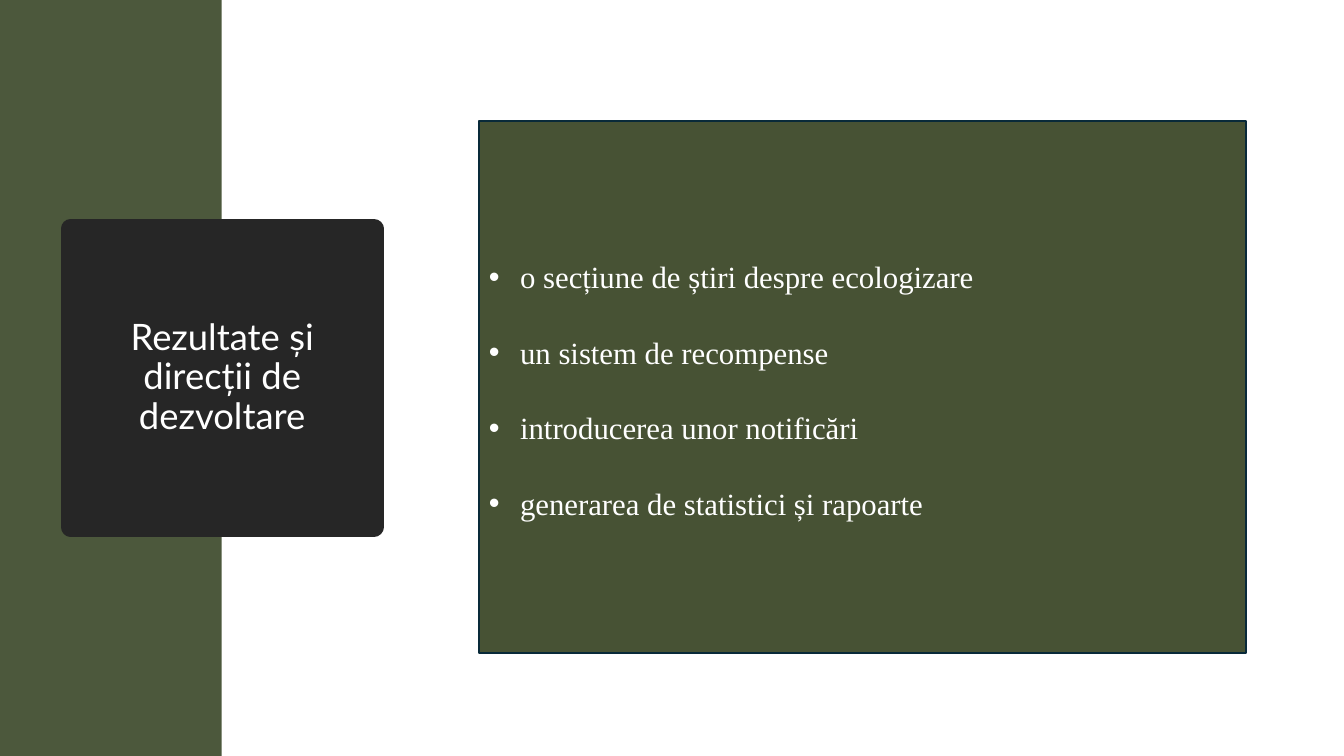
import dataclasses

import pptx
import pptx.dml.color
import pptx.enum.shapes
import pptx.enum.text
import pptx.oxml
import pptx.oxml.ns
import pptx.util
from pptx.util import Inches, Pt


@dataclasses.dataclass
class Theme:
    """Colours, fonts and type sizes of the slide."""
    white: str = "FFFFFF"
    band: str = "4C583C"
    panel: str = "475234"
    outline: str = "092A39"
    dark: str = "262626"
    title_font: str = "Lato"
    body_font: str = "Times New Roman"
    title_size: float = 26
    body_size: float = 22
    item_gap: float = 27.5


class SlideBuilder:
    """Adds styled elements to one slide."""

    def __init__(self, prs, theme):
        self.theme = theme
        self.s = prs.slides.add_slide(prs.slide_layouts[6])

    def rect(self, x, y, w, h, fill, line=None, width=0):
        """Add a filled rectangle, outlined if a line colour is given."""
        sp = self.s.shapes.add_shape(
            pptx.enum.shapes.MSO_SHAPE.RECTANGLE,
            Inches(x), Inches(y), Inches(w), Inches(h))
        sp.shadow.inherit = False
        sp.fill.solid()
        sp.fill.fore_color.rgb = pptx.dml.color.RGBColor.from_string(fill)
        if line:
            sp.line.color.rgb = pptx.dml.color.RGBColor.from_string(line)
            sp.line.width = Pt(width)
        else:
            sp.line.fill.background()
        return sp

    def label(self, sp, text, font, size, align):
        """Fill a shape with vertically centred white text."""
        tf = sp.text_frame
        tf.word_wrap = True
        tf.vertical_anchor = pptx.enum.text.MSO_ANCHOR.MIDDLE
        tf.text = text
        for p in tf.paragraphs:
            p.alignment = align
            for r in p.runs:
                r.font.name = font
                r.font.size = Pt(size)
                r.font.color.rgb = pptx.dml.color.RGBColor.from_string(self.theme.white)
        return tf

    def title(self, text, x, y, w, h):
        """Add the dark title block with rounded outline corners."""
        t = self.theme
        sp = self.rect(x, y, w, h, t.dark, t.dark, 13.75)
        ln = sp.element.spPr.find(pptx.oxml.ns.qn("a:ln"))
        ln.append(pptx.oxml.parse_xml(f'<a:round {pptx.oxml.ns.nsdecls("a")}/>'))
        tf = self.label(sp, text, t.title_font, t.title_size,
                        pptx.enum.text.PP_ALIGN.CENTER)
        tf.margin_left = tf.margin_right = Inches(0.54)
        tf.paragraphs[0].line_spacing = 0.9

    def bullets(self, items, x, y, w, h):
        """Add the outlined panel with an evenly spaced bullet list."""
        t = self.theme
        sp = self.rect(x, y, w, h, t.panel, t.outline, 1.5)
        tf = self.label(sp, "\n".join(items), t.body_font, t.body_size,
                        pptx.enum.text.PP_ALIGN.JUSTIFY)
        tf.margin_top = Inches(0.1)
        for i, p in enumerate(tf.paragraphs):
            p.space_before = Pt(t.item_gap if i else 0)
            pPr = p._p.get_or_add_pPr()
            pPr.set("marL", str(Inches(0.31)))
            pPr.set("indent", str(-Inches(0.31)))
            for tag in ('buFont typeface="Arial"', 'buChar char="•"'):
                pPr.append(pptx.oxml.parse_xml(
                    f'<a:{tag} {pptx.oxml.ns.nsdecls("a")}/>'))


def main():
    """Build and save the slide."""
    prs = pptx.Presentation()
    prs.slide_width, prs.slide_height = Inches(13.33), Inches(7.5)
    theme = Theme()
    slide = SlideBuilder(prs, theme)
    slide.rect(0, 0, 13.33, 7.5, theme.white)
    slide.rect(0, 0, 2.2, 7.5, theme.band)
    slide.title("Rezultate și direcții de dezvoltare", 0.7, 2.27, 3.01, 2.96)
    slide.bullets([
        "o secțiune de știri despre ecologizare",
        "un sistem de recompense",
        "introducerea unor notificări",
        "generarea de statistici și rapoarte",
    ], 4.75, 1.2, 7.61, 5.28)
    prs.save("out.pptx")


if __name__ == "__main__":
    main()
